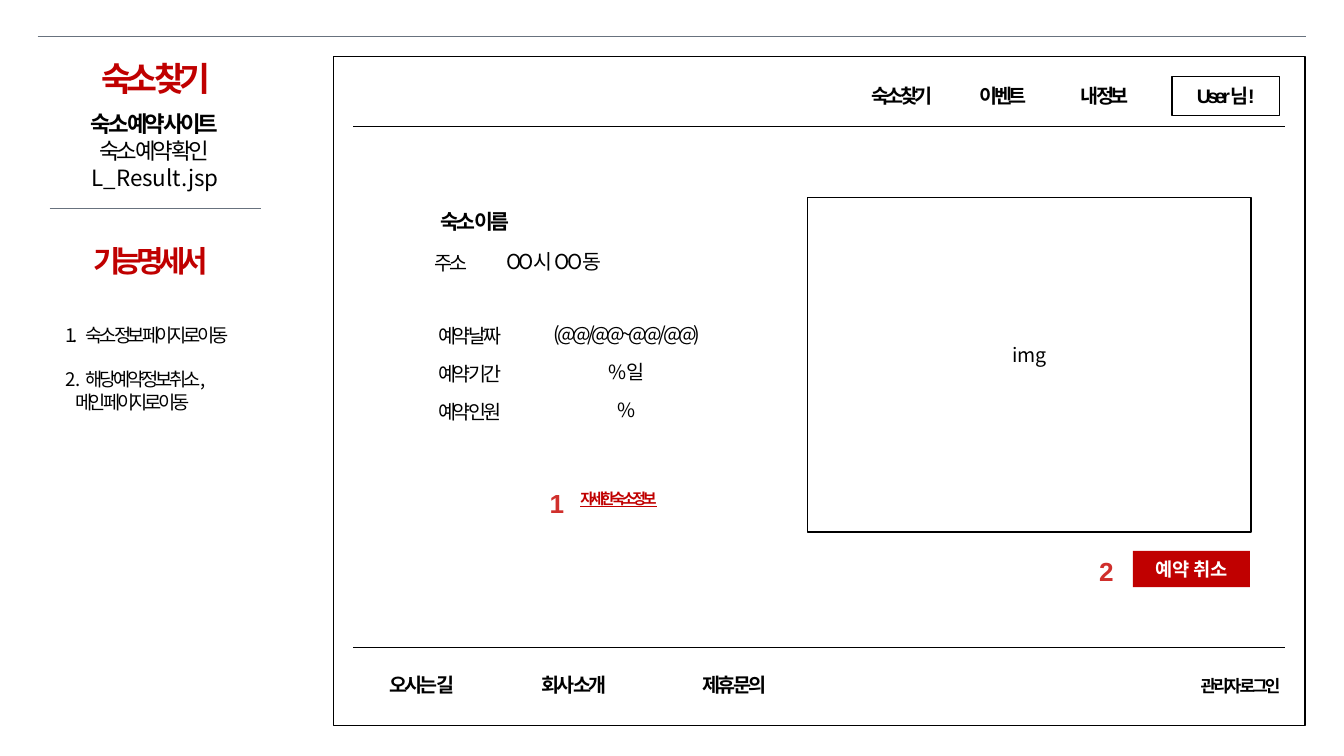
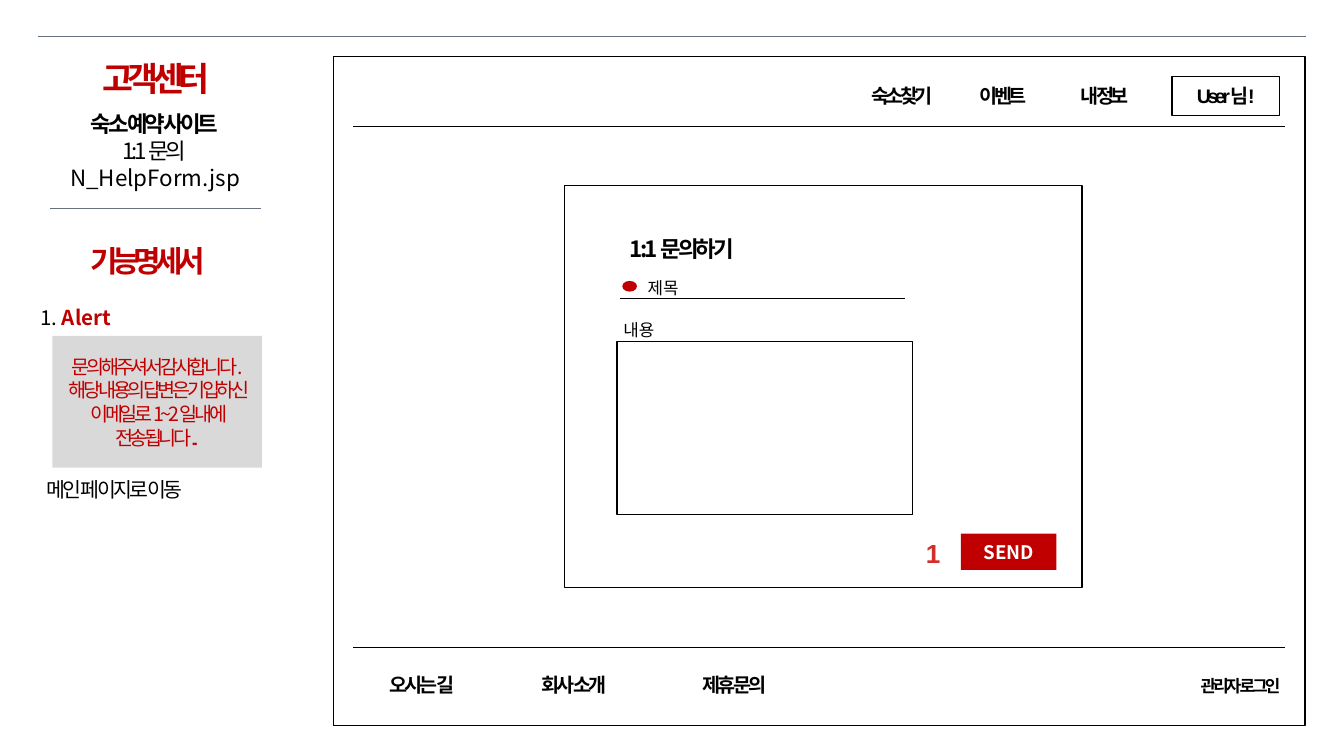
from lxml import etree
from pptx import Presentation
from pptx.dml.color import RGBColor
from pptx.enum.shapes import MSO_CONNECTOR, MSO_SHAPE
from pptx.enum.text import MSO_ANCHOR, MSO_AUTO_SIZE, PP_ALIGN
from pptx.oxml.ns import qn
from pptx.util import Inches, Pt

RECT, OVAL = MSO_SHAPE.RECTANGLE, MSO_SHAPE.OVAL
LINE = MSO_CONNECTOR.STRAIGHT
LEFT, MID = PP_ALIGN.LEFT, PP_ALIGN.CENTER
TOP, CENTER = MSO_ANCHOR.TOP, MSO_ANCHOR.MIDDLE
FIT = MSO_AUTO_SIZE.SHAPE_TO_FIT_TEXT

BLACK, WHITE, RED = "000000", "FFFFFF", "C00000"
SLATE, GRAY, CORAL = "68727E", "D9D9D9", "D02F2C"
SANS, LATIN = "Noto Sans CJK KR", "Arial"

WIDTH = Inches(10)
HEIGHT = WIDTH * 9 // 16
SIDE = (0.28, 0.27, 1.7, 5)
FRAME = (2.48, 0.42, 7.23, 4.98)
PANEL = (4.2, 1.38, 3.85, 2.99)

# Text formats
BASE = dict(size=10.5, color=BLACK, name=SANS, bold=False, spc=0)
TIGHT = BASE | dict(spc=-1.8)
MENU = TIGHT | dict(name=LATIN, bold=True)
FOOT = MENU | dict(spc=-1.5)
HEAD = BASE | dict(size=18, color=RED, bold=True, spc=-3)
BADGE = BASE | dict(size=14, color=CORAL, name=LATIN, bold=True)
SMALL = BASE | dict(size=9)
BUTTON = BASE | dict(size=10, color=WHITE, bold=True)
LINK = TIGHT | dict(size=8, color=RED, bold=True, underline=True)


def rgb(code):
    return RGBColor.from_string(code)


def place(box, x, y, w, h):
    return box[0] + x, box[1] + y, w, h


def style(run, form):
    """Apply a dict of format values to one run."""
    font = run.font
    for key, val in form.items():
        if key == "color":
            font.color.rgb = rgb(val)
        elif key == "spc":
            run._r.get_or_add_rPr().set("spc", str(round(val * 100)))
        else:
            setattr(font, key, Pt(val) if key == "size" else val)
    east = etree.SubElement(run._r.get_or_add_rPr(), qn("a:ea"))
    east.set("typeface", SANS)


def write(shape, paras, form, align=MID, anchor=CENTER, wrap=True, lead=1.2):
    """Each paragraph is a string or a list of (text, changes) runs."""
    frame = shape.text_frame
    frame.word_wrap = wrap
    frame.vertical_anchor = anchor
    if not wrap:
        frame.auto_size = FIT
    paras = [paras] if isinstance(paras, str) else paras
    for i, runs in enumerate(paras):
        para = frame.add_paragraph() if i else frame.paragraphs[0]
        para.alignment = align
        para.line_spacing = Pt(form["size"] * lead)
        for words, change in [(runs, {})] if isinstance(runs, str) else runs:
            run = para.add_run()
            run.text = words
            style(run, form | change)
    return frame.paragraphs


def label(shapes, box, paras, form=TIGHT, **opts):
    shape = shapes.add_textbox(*map(Inches, box))
    return write(shape, paras, form, **opts)


def shape(shapes, box, fill=None, line=None, kind=RECT):
    item = shapes.add_shape(kind, *map(Inches, box))
    item.shadow.inherit = False
    if fill:
        item.fill.solid()
        item.fill.fore_color.rgb = rgb(fill)
    else:
        item.fill.background()
    if line:
        item.line.color.rgb = rgb(line)
        item.line.width = Pt(0.75)
    else:
        item.line.fill.background()
    return item


def rule(shapes, x, y, w, color=BLACK, width=0.75):
    item = shapes.add_connector(LINE, *map(Inches, (x, y, x + w, y)))
    item.line.color.rgb = rgb(color)
    item.line.width = Pt(width)
    etree.SubElement(item._element.spPr, qn("a:effectLst"))


def badge(shapes, box, x, y, mark):
    label(shapes, place(box, x, y, 0.32, 0.34), mark, BADGE,
          align=LEFT, anchor=TOP, wrap=False)


def button(shapes, box, words):
    write(shape(shapes, box, fill=RED), words, BUTTON)


def indent(para, left):
    para._p.get_or_add_pPr().set("marL", str(Inches(left)))


# Left column: title, page name and heading of the notes
def sidebar(shapes, box, title, page, file, shift):
    x, y = box[:2]
    rule(shapes, x, y, 9.44, SLATE, 0.25)
    label(shapes, place(box, 0.17, 0.14, 1.42, 0.37), title, HEAD,
          anchor=TOP, lead=1.08)
    label(shapes, place(box, 0.06, 0.5, 1.62, 0.5),
          [[("숙소 예약 사이트", dict(bold=True))], page],
          TIGHT | dict(size=12))
    label(shapes, place(box, 0.1, 0.9, 1.55, 0.3), file,
          BASE | dict(size=12))
    rule(shapes, x + 0.09, y + 1.28, 1.57, SLATE, 0.25)
    label(shapes, place(box, shift, 1.51, 1.34, 0.34), "기능명세서",
          HEAD | dict(size=16), anchor=TOP, lead=1.08)


# Browser frame with menu and footer
def browser(shapes, box):
    group = shapes.add_group_shape().shapes
    x, y = box[:2]
    shape(group, box, line=BLACK)
    for i, words in enumerate(["숙소찾기", "이벤트", "내 정보"]):
        label(group, place(box, 3.83 + 0.755 * i, 0.15, 0.8, 0.29),
              words, MENU)
    user = shape(group, place(box, 6.24, 0.15, 0.8, 0.29), line=BLACK)
    write(user, "User님!", MENU)
    for down in (0.52, 4.4):
        rule(group, x + 0.15, y + down, 6.93)
    for i, (words, w) in enumerate([("오시는 길", 0.96), ("회사 소개", 0.96),
                                    ("제휴문의", 1.09)]):
        label(group, place(box, 0.18 + 1.13 * i, 4.53, w, 0.29), words, FOOT)
    label(group, place(box, 6.27, 4.56, 0.96, 0.25), "관리자 로그인",
          FOOT | dict(size=9))


# Booking details and room image
def booking(shapes, box):
    label(shapes, place(box, 0.5, 1.08, 1.11, 0.29), "숙소 이름",
          BASE | dict(size=11, bold=True, spc=-1.5))
    label(shapes, place(box, 0.35, 1.39, 1.05, 0.29), "주소")
    label(shapes, place(box, 0.99, 1.38, 1.3, 0.29), "OO시 OO동",
          BASE | dict(size=11, spc=-1.5))
    rows = [("예약 날짜", "(@@/@@~@@/@@)"), ("예약 기간", "%일"),
            ("예약 인원", "%")]
    for i, (name, value) in enumerate(rows):
        label(shapes, place(box, 0.49, 1.93 + 0.285 * i, 1.05, 0.29), name)
        label(shapes, place(box, 1.27, 1.92 + 0.28 * i, 1.83, 0.29), value)
    badge(shapes, box, 1.51, 3.16, "1")
    label(shapes, place(box, 1.74, 3.17, 0.84, 0.24), "자세한 숙소 정보",
          LINK, align=LEFT, anchor=TOP, wrap=False)
    shape(shapes, place(box, 3.53, 1.05, 3.3, 2.49), line=BLACK)
    label(shapes, place(box, 4.78, 2.07, 0.8, 0.29), "img", BASE)
    badge(shapes, box, 5.6, 3.66, "2")
    button(shapes, place(box, 5.95, 3.68, 0.87, 0.27), "예약 취소")


# Notes for the booking page
def steps(shapes, box):
    paras = label(shapes, place(box, 0.11, 2, 1.52, 0.94),
                  ["1.\t숙소 정보 페이지로 이동",
                   [("2. ", dict(spc=0)), ("해당 예약 정보 취소,", {})],
                   "메인 페이지로 이동"],
                  TIGHT | dict(size=10), align=LEFT)
    tabs = etree.SubElement(paras[0]._p.get_or_add_pPr(), qn("a:tabLst"))
    etree.SubElement(tabs, qn("a:tab"), pos=str(Inches(0.15)), algn="l")
    paras[1].space_before = Pt(12)
    indent(paras[2], 0.07)


# Inquiry form
def form(shapes, box):
    plain = dict(align=LEFT, anchor=TOP, wrap=False)
    shape(shapes, box, line=BLACK)
    label(shapes, place(box, 0.24, 0.32, 1.27, 0.3), "1:1 문의하기",
          BASE | dict(size=12, bold=True, spc=-1.5))
    rule(shapes, box[0] + 0.41, box[1] + 0.84, 2.12)
    label(shapes, place(box, 0.52, 0.64, 0.45, 0.25), "제목", SMALL, **plain)
    shape(shapes, place(box, 0.43, 0.71, 0.11, 0.08), fill=RED, kind=OVAL)
    label(shapes, place(box, 0.34, 0.95, 0.45, 0.25), "내용", SMALL, **plain)
    shape(shapes, place(box, 0.39, 1.16, 2.2, 1.29), line=BLACK)
    badge(shapes, box, 2.59, 2.57, "1")
    button(shapes, place(box, 2.95, 2.59, 0.71, 0.27), "SEND")


# Notes for the inquiry page
def alert(shapes, box):
    paras = label(shapes, place(box, -0.08, 1.95, 1.86, 2.14),
                  [[("1. ", {}), ("Alert", dict(color=RED, bold=True))],
                   [("메인 페이지로 이동", dict(spc=-1.5))]],
                  BASE | dict(size=11), align=LEFT, anchor=TOP)
    paras[1].space_before = Pt(79.2)
    indent(paras[1], 0.05)
    note = shape(shapes, place(box, 0.11, 2.23, 1.56, 0.98), fill=GRAY)
    write(note, ["문의 해주셔서 감사합니다.",
                 "해당 내용의 답변은 기입하신 이메일로 1~2일 내에 전송됩니다.."],
          TIGHT | dict(color=RED))


def main():
    deck = Presentation()
    deck.slide_width, deck.slide_height = WIDTH, HEIGHT
    pages = [
        (("숙소 찾기", "숙소 예약 확인", "L_Result.jsp", 0.17),
         steps, booking, FRAME),
        (("고객센터", "1:1 문의", "N_HelpForm.jsp", 0.15),
         alert, form, PANEL),
    ]
    for heads, notes, body, box in pages:
        shapes = deck.slides.add_slide(deck.slide_layouts[6]).shapes
        sidebar(shapes, SIDE, *heads)
        notes(shapes, SIDE)
        body(shapes, box)
        browser(shapes, FRAME)
    deck.save("out.pptx")


if __name__ == "__main__":
    main()
